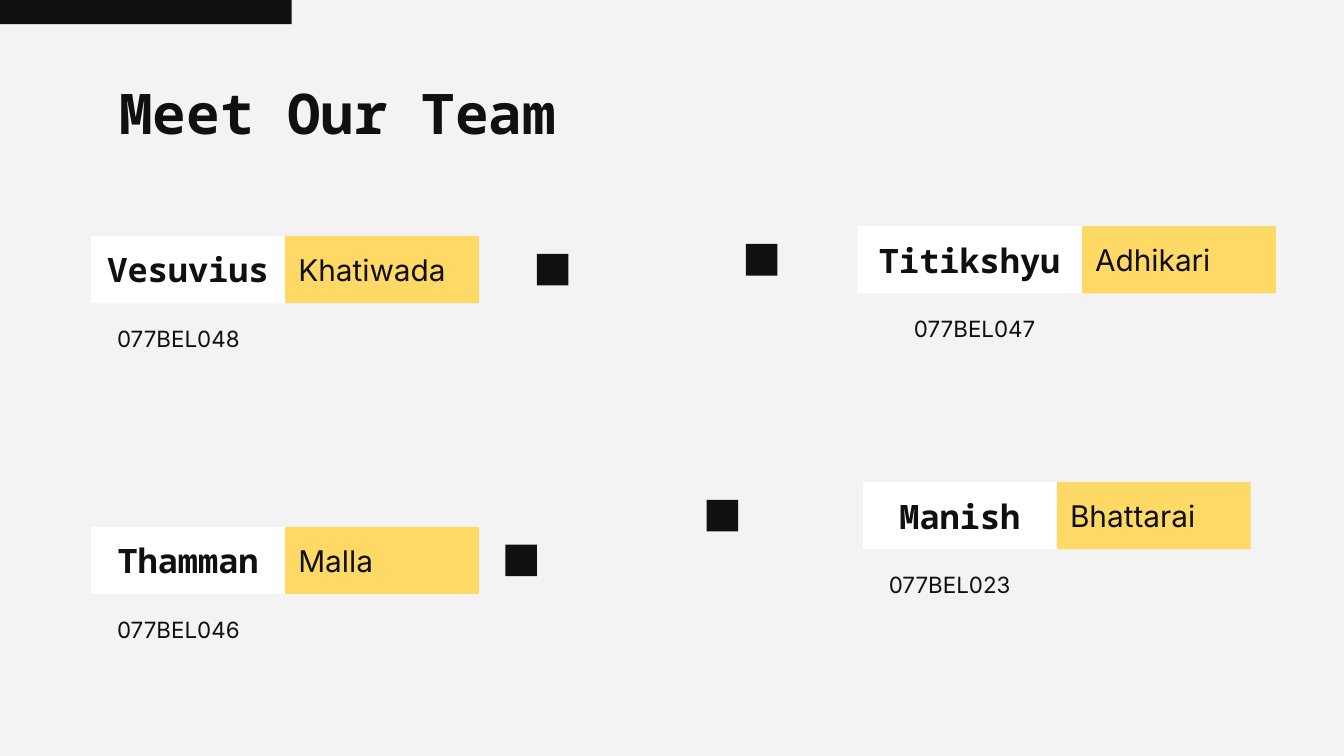
"""Build the "Meet Our Team" slide with four name cards."""
from pptx import Presentation
from pptx.dml.color import RGBColor
from pptx.enum.shapes import MSO_SHAPE
from pptx.enum.text import MSO_ANCHOR, PP_ALIGN
from pptx.util import Inches, Pt

RECTANGLE = MSO_SHAPE.RECTANGLE
TOP, MIDDLE = MSO_ANCHOR.TOP, MSO_ANCHOR.MIDDLE
LEFT, CENTER = PP_ALIGN.LEFT, PP_ALIGN.CENTER
INK, PAPER, WHITE, YELLOW = "111010", "F3F3F3", "FFFFFF", "FFD966"
MONO, SANS = "Noto Sans Mono", "Inter"

presentation = Presentation()
presentation.slide_width = Inches(10)
presentation.slide_height = presentation.slide_width * 9 // 16
CELL = presentation.slide_width / 100
slide = presentation.slides.add_slide(presentation.slide_layouts[6])


def paint(fill, color):
    fill.solid()
    fill.fore_color.rgb = RGBColor.from_string(color)


def add_box(column, row, columns, rows, color=None, text="", size=12,
            font_name=SANS, bold=False, anchor=TOP, alignment=LEFT):
    area = [round(cells * CELL) for cells in (column, row, columns, rows)]
    if color:
        shape = slide.shapes.add_shape(RECTANGLE, *area)
        shape.shadow.inherit = False
        paint(shape.fill, color)
        shape.line.fill.background()
    else:
        shape = slide.shapes.add_textbox(*area)
    if text:
        text_frame = shape.text_frame
        text_frame.word_wrap = True
        text_frame.vertical_anchor = anchor
        text_frame.margin_left = text_frame.margin_right = round(CELL)
        text_frame.margin_top = text_frame.margin_bottom = round(CELL)
        text_frame.text = text
        paragraph = text_frame.paragraphs[0]
        paragraph.alignment = alignment
        font = paragraph.runs[0].font
        font.name, font.size, font.bold = font_name, Pt(size), bold
        paint(font.fill, INK)


paint(slide.background.fill, PAPER)
add_box(0, 0, 21.7, 1.8, INK)
add_box(7.9, 4.85, 84.3, 6.3, text="Meet Our Team", size=30, font_name=MONO, bold=True)

CARD_WIDTH, CARD_HEIGHT = 14.43, 5
MARKER_SIZE = 2.35
MARKER_DROP = (CARD_HEIGHT - MARKER_SIZE) / 2
ROLL_DROP = 5.63

members = [
    ("Vesuvius", "Khatiwada", "077BEL048", 6.78, 17.56, CARD_WIDTH, 0.95, 39.95),
    ("Thamman", "Malla", "077BEL046", 6.78, 39.2, CARD_WIDTH, 0.95, 37.6),
    ("Titikshyu", "Adhikari", "077BEL047", 63.8, 16.83, 16.7, 3.22, 55.5),
    ("Manish", "Bhattarai", "077BEL023", 64.2, 35.87, CARD_WIDTH, 0.95, 52.58),
]
for first, last, roll, column, row, first_width, roll_indent, marker in members:
    add_box(column + roll_indent, row + ROLL_DROP, 23.2, CARD_HEIGHT, text=roll)
    add_box(column + first_width, row, CARD_WIDTH, CARD_HEIGHT, YELLOW, last, 16,
            anchor=MIDDLE)
    add_box(column, row, first_width, CARD_HEIGHT, WHITE, first, 18, MONO, True,
            MIDDLE, CENTER)
    add_box(marker, row + MARKER_DROP, MARKER_SIZE, MARKER_SIZE, INK)

presentation.save("out.pptx")
